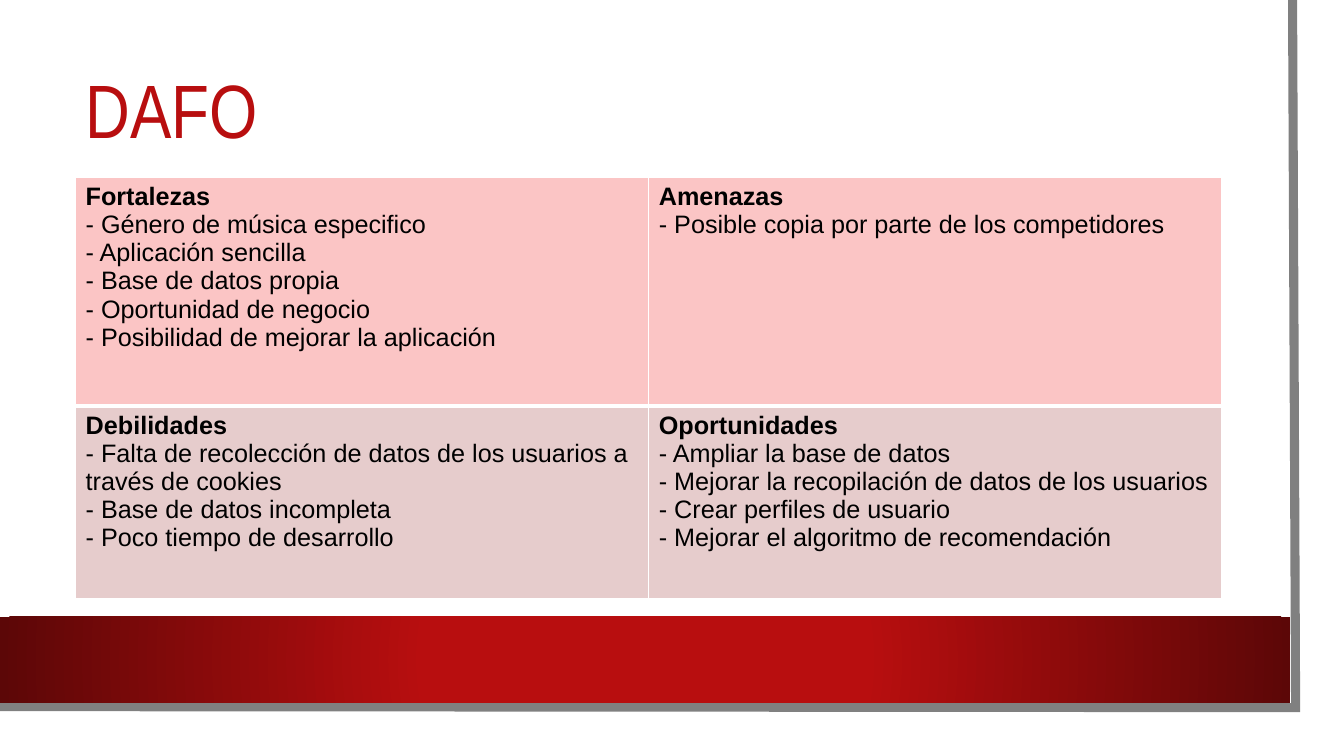
from lxml import etree
from pptx import Presentation
from pptx.dml.color import RGBColor
from pptx.enum.shapes import MSO_SHAPE
from pptx.enum.text import MSO_ANCHOR, MSO_AUTO_SIZE, PP_ALIGN
from pptx.oxml import parse_xml
from pptx.oxml.ns import nsdecls, qn
from pptx.util import Inches, Pt

COLORS = {
    "red": "B80E0F",
    "dark red": "5C0707",
    "gray": "808080",
    "white": "FFFFFF",
    "black": "000000",
    "pink": "FBC5C5",
    "dusty pink": "E6CCCC",
}


def color(name):
    return RGBColor.from_string(COLORS[name])


def add_border(cell, side, width):
    properties = cell._tc.get_or_add_tcPr()
    line = etree.SubElement(properties, qn(f"a:ln{side}"), w=str(Pt(width)))
    fill = etree.SubElement(line, qn("a:solidFill"))
    etree.SubElement(fill, qn("a:srgbClr"), val=COLORS["white"])


presentation = Presentation()
presentation.slide_width = Inches(13.33)
presentation.slide_height = Inches(7.5)
slide = presentation.slides.add_slide(presentation.slide_layouts[5])

# Gray edge along the right and bottom
builder = slide.shapes.build_freeform(Inches(12.82), 0)
builder.add_line_segments(
    [(Inches(12.85), Inches(7.02)), (Inches(-0.03), Inches(7.01))], close=False
)
edge = builder.convert_to_shape()
edge.shadow.inherit = False
edge.fill.background()
edge.line.color.rgb = color("gray")
edge.line.width = Pt(6.5)
etree.SubElement(edge.line._get_or_add_ln(), qn("a:miter"), lim="800000")

# Red band with a radial gradient
band = slide.shapes.add_shape(
    MSO_SHAPE.RECTANGLE, 0, Inches(6.12), Inches(12.8), Inches(0.85)
)
band.shadow.inherit = False
band.line.fill.background()
band.fill.gradient()
for stop, (position, name) in zip(
    band.fill.gradient_stops, [(0.34, "red"), (1, "dark red")]
):
    stop.position = position
    stop.color.rgb = color(name)
linear = band._element.spPr.find(qn("a:gradFill")).find(qn("a:lin"))
linear.getparent().replace(linear, parse_xml(
    f'<a:path {nsdecls("a")} path="circle">'
    '<a:fillToRect l="50000" t="50000" r="50000" b="50000"/></a:path>'
))

# Title
title = slide.shapes.title
title.left, title.top = Inches(0.75), Inches(0.5)
title.width, title.height = Inches(11.37), Inches(1.26)
title.text_frame.text = "DAFO"
title.text_frame.auto_size = MSO_AUTO_SIZE.NONE
title.text_frame.vertical_anchor = MSO_ANCHOR.MIDDLE
paragraph = title.text_frame.paragraphs[0]
paragraph.alignment = PP_ALIGN.LEFT
paragraph.line_spacing = 0.9
font = paragraph.runs[0].font
font.name = "Arial Narrow"
font.size = Pt(54)
font.color.rgb = color("red")

# SWOT table: each cell is a heading followed by its points
quadrants = [
    [
        ["Fortalezas", "- Género de música especifico", "- Aplicación sencilla",
         "- Base de datos propia", "- Oportunidad de negocio",
         "- Posibilidad de mejorar la aplicación"],
        ["Amenazas", "- Posible copia por parte de los competidores"],
    ],
    [
        ["Debilidades",
         "- Falta de recolección de datos de los usuarios a través de cookies",
         "- Base de datos incompleta", "- Poco tiempo de desarrollo"],
        ["Oportunidades", "- Ampliar la base de datos",
         "- Mejorar la recopilación de datos de los usuarios",
         "- Crear perfiles de usuario",
         "- Mejorar el algoritmo de recomendación"],
    ],
]
row_heights = [2.27, 1.91]
row_fills = ["pink", "dusty pink"]
row_borders = [
    {"L": 1, "R": 1, "T": 1, "B": 3},
    {"L": 1, "R": 1, "T": 3, "B": 1},
]

table = slide.shapes.add_table(
    2, 2, Inches(0.75), Inches(1.76), Inches(11.37), Inches(sum(row_heights))
).table
for row_index, row in enumerate(quadrants):
    table.rows[row_index].height = Inches(row_heights[row_index])
    for column_index, lines in enumerate(row):
        cell = table.cell(row_index, column_index)
        for side, width in row_borders[row_index].items():
            add_border(cell, side, width)
        cell.fill.solid()
        cell.fill.fore_color.rgb = color(row_fills[row_index])
        cell.text_frame.text = "\n".join(lines)
        for line_index, paragraph in enumerate(cell.text_frame.paragraphs):
            font = paragraph.runs[0].font
            font.name = "Arial"
            font.size = Pt(18)
            font.bold = line_index == 0
            font.color.rgb = color("black")

presentation.save("out.pptx")
